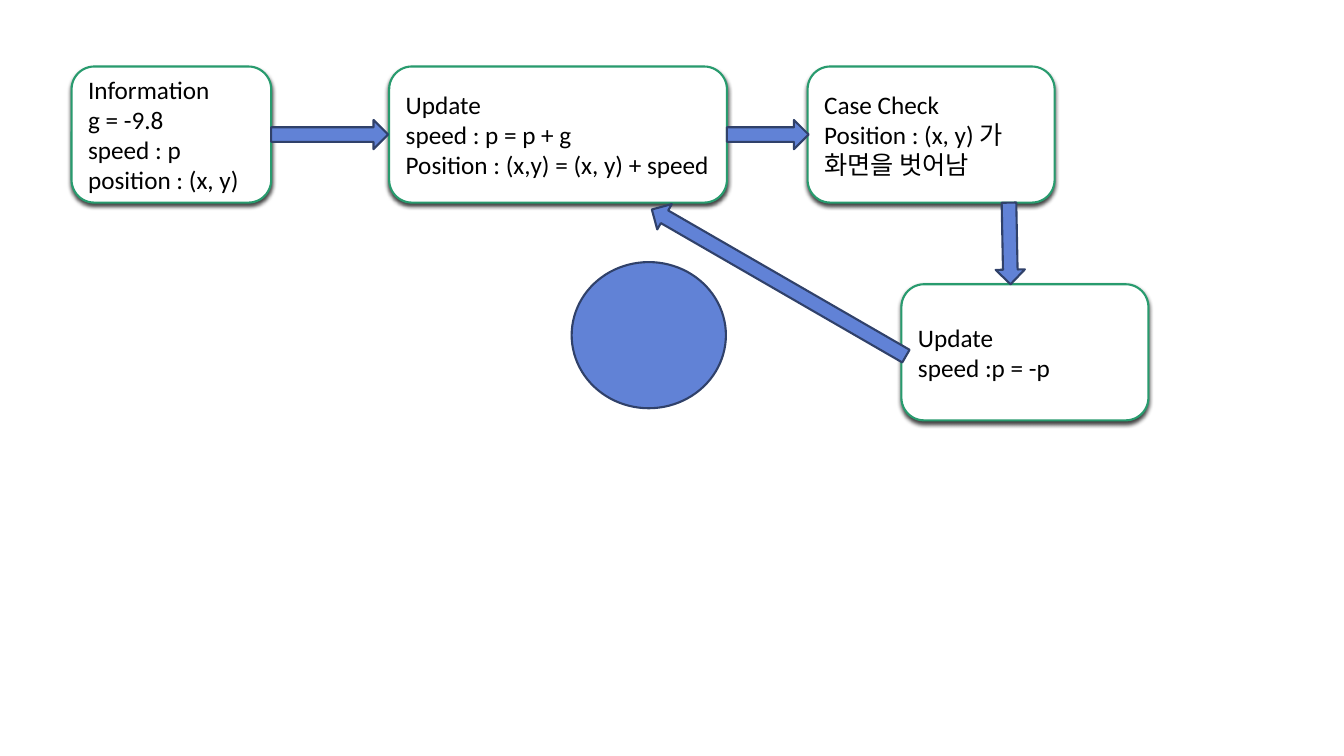
from pptx import Presentation
from pptx.dml.color import RGBColor
from pptx.enum.shapes import MSO_SHAPE
from pptx.enum.text import MSO_ANCHOR, PP_ALIGN
from pptx.oxml import parse_xml
from pptx.oxml.ns import nsdecls, qn
from pptx.util import Inches, Pt

OVAL = MSO_SHAPE.OVAL
ROUNDED = MSO_SHAPE.ROUNDED_RECTANGLE
ARROW = MSO_SHAPE.RIGHT_ARROW
MIDDLE = MSO_ANCHOR.MIDDLE
LEFT = PP_ALIGN.LEFT

COLORS = {
    "blue": "6182D6",
    "navy": "30416A",
    "green": "289B6E",
    "white": "FFFFFF",
    "black": "000000",
}
TEXT_FORMAT = {"name": "Calibri", "size": Pt(18)}
ROW_TOP, BOX_HEIGHT = 0.66, 1.35
ARROW_HEIGHT = 0.29


def color(name):
    return RGBColor.from_string(COLORS[name])


def add_figure(kind, left, top, width, height, fill, line):
    figure = page.shapes.add_shape(
        kind, Inches(left), Inches(top), Inches(width), Inches(height))
    figure.fill.solid()
    figure.fill.fore_color.rgb = color(fill)
    figure.line.color.rgb = color(line)
    figure.line.width = Pt(1.5)
    figure.shadow.inherit = False
    return figure


deck = Presentation()
deck.slide_width, deck.slide_height = Inches(13.33), Inches(7.5)
page = deck.slides.add_slide(deck.slide_layouts[6])

# Ball
add_figure(OVAL, 5.67, 2.6, 1.53, 1.45, "blue", "navy")

# Step boxes: left, top, width, lines
steps = [
    (0.71, ROW_TOP, 1.98,
     ["Information", "g = -9.8", "speed : p", "position : (x, y)"]),
    (3.86, ROW_TOP, 3.35,
     ["Update", "speed : p = p + g", "Position : (x,y) = (x, y) + speed"]),
    (8.01, ROW_TOP, 2.45,
     ["Case Check", "Position : (x, y) 가 화면을 벗어남"]),
    (8.94, 2.82, 2.45, ["Update", "speed :p = -p"]),
]
for left, top, width, lines in steps:
    box = add_figure(ROUNDED, left, top, width, BOX_HEIGHT, "white", "green")

    # Soft shadow straight below the box
    effects = box.element.spPr.find(qn("a:effectLst"))
    effects.append(parse_xml(
        f'<a:outerShdw {nsdecls("a")} blurRad="{Pt(3)}" dist="{Pt(2)}" '
        f'dir="5400000" rotWithShape="0"><a:srgbClr val="{COLORS["black"]}">'
        '<a:alpha val="75000"/></a:srgbClr></a:outerShdw>'))

    frame = box.text_frame
    frame.word_wrap = True
    frame.vertical_anchor = MIDDLE
    for index, line in enumerate(lines):
        para = frame.add_paragraph() if index else frame.paragraphs[0]
        para.alignment = LEFT
        span = para.add_run()
        span.text = line
        for key, value in TEXT_FORMAT.items():
            setattr(span.font, key, value)
        span.font.color.rgb = color("black")

# Flow arrows: left, top, length, rotation
arrows = [
    (2.69, 1.19, 1.16, 0),
    (7.21, 1.19, 0.81, 0),
    (9.61, 2.27, 0.81, 88.9),
    (6.27, 2.66, 2.91, 210),
]
for left, top, length, rotation in arrows:
    arrow = add_figure(ARROW, left, top, length, ARROW_HEIGHT, "blue", "navy")
    arrow.rotation = rotation

deck.save("out.pptx")
